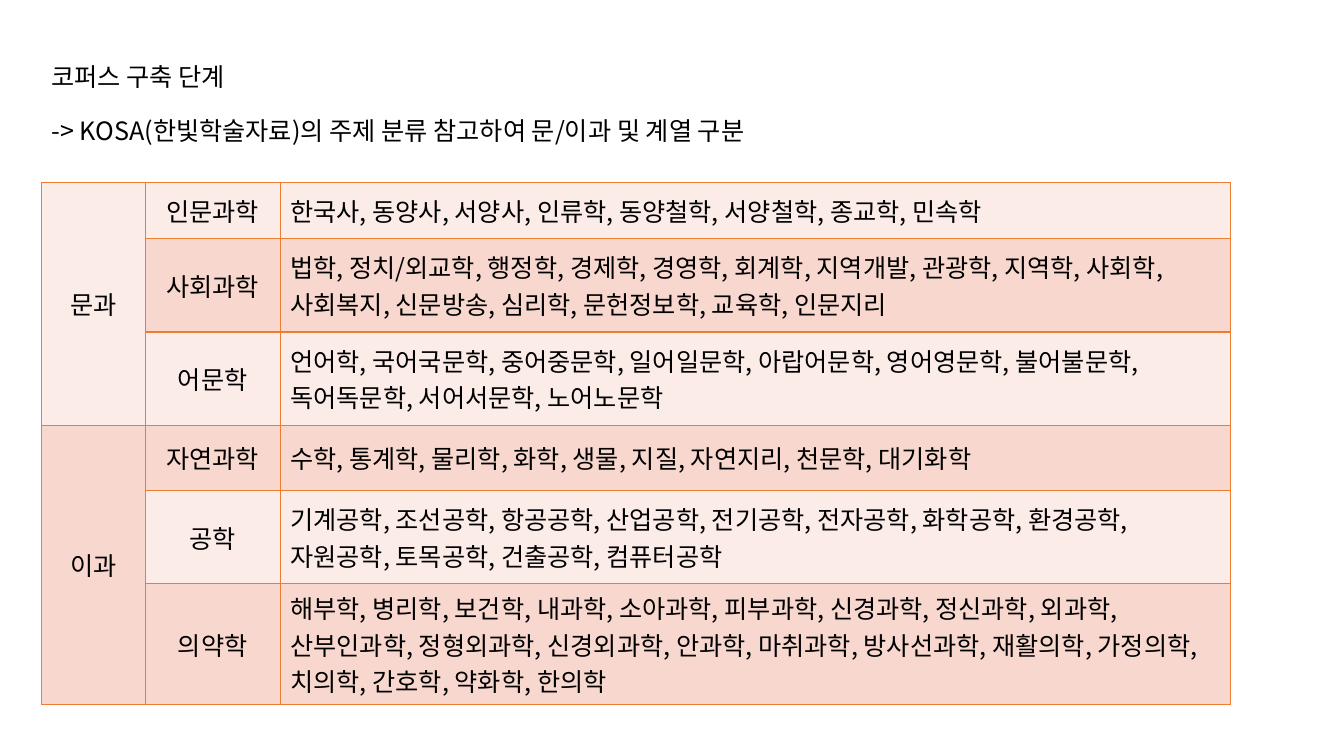
from dataclasses import dataclass

from lxml import etree
from pptx import Presentation
from pptx.dml.color import RGBColor
from pptx.enum.text import MSO_ANCHOR as Anchor, MSO_AUTO_SIZE as AutoSize, PP_ALIGN as Align
from pptx.oxml.ns import qn
from pptx.util import Pt

FONT = "Noto Sans CJK KR"
BLACK, ORANGE = "000000", "ED7D31"
BANDS = ("FCECE8", "F8D7CE")
LEFT = 29.5


@dataclass(frozen=True)
class Field:
    name: str
    subjects: str
    height: float


@dataclass(frozen=True)
class Track:
    name: str
    fields: tuple[Field, ...]


TRACKS = (
    Track("문과", (
        Field("인문과학", "한국사, 동양사, 서양사, 인류학, 동양철학, 서양철학, 종교학, 민속학", 40),
        Field("사회과학", "법학, 정치/외교학, 행정학, 경제학, 경영학, 회계학, 지역개발, 관광학, 지역학, "
              "사회학, 사회복지, 신문방송, 심리학, 문헌정보학, 교육학, 인문지리", 66.8),
        Field("어문학", "언어학, 국어국문학, 중어중문학, 일어일문학, 아랍어문학, 영어영문학, 불어불문학, "
              "독어독문학, 서어서문학, 노어노문학", 66.8),
    )),
    Track("이과", (
        Field("자연과학", "수학, 통계학, 물리학, 화학, 생물, 지질, 자연지리, 천문학, 대기화학", 46.4),
        Field("공학", "기계공학, 조선공학, 항공공학, 산업공학, 전기공학, 전자공학, 화학공학, "
              "환경공학, 자원공학, 토목공학, 건출공학, 컴퓨터공학", 66.8),
        Field("의약학", "해부학, 병리학, 보건학, 내과학, 소아과학, 피부과학, 신경과학, 정신과학, "
              "외과학, 산부인과학, 정형외과학, 신경외과학, 안과학, 마취과학, 방사선과학, "
              "재활의학, 가정의학, 치의학, 간호학, 약화학, 한의학", 86.2),
    )),
)
COLUMN_WIDTHS = (74.2, 96.5, 679)


def rgb(hex_color: str) -> RGBColor:
    return RGBColor.from_string(hex_color)


def write(paragraph, text: str, *, size: float = 18, color: str = BLACK,
          align: Align = Align.LEFT, before: float = 0) -> None:
    paragraph.alignment = align
    paragraph.line_spacing = 1.0
    paragraph.space_before = Pt(before)
    run = paragraph.add_run()
    run.text = text
    run.font.size = Pt(size)
    run.font.name = FONT
    run.font.color.rgb = rgb(color)
    latin = run.font._element.find(qn("a:latin"))
    east_asian = etree.Element(qn("a:ea"), typeface=FONT)
    latin.addnext(east_asian)


def style_cell(cell, band: str) -> None:
    """Outline the cell and fill it with its band colour."""
    properties = cell._tc.get_or_add_tcPr()
    for side in ("a:lnL", "a:lnR", "a:lnT", "a:lnB"):
        line = etree.SubElement(properties, qn(side), w=str(Pt(1)))
        stroke = etree.SubElement(line, qn("a:solidFill"))
        etree.SubElement(stroke, qn("a:srgbClr"), val=ORANGE)
    cell.fill.solid()
    cell.fill.fore_color.rgb = rgb(band)
    cell.vertical_anchor = Anchor.MIDDLE


def add_heading(slide) -> None:
    heading = slide.shapes.title
    heading.left, heading.top = Pt(LEFT), Pt(37.4)
    heading.width, heading.height = Pt(558), Pt(72.7)
    frame = heading.text_frame
    frame.word_wrap = True
    frame.auto_size = AutoSize.NONE
    frame.vertical_anchor = Anchor.MIDDLE
    write(frame.paragraphs[0], "코퍼스 구축 단계")
    write(frame.add_paragraph(),
          "-> KOSA(한빛학술자료)의 주제 분류 참고하여 문/이과 및 계열 구분", before=17)


def add_classification(slide) -> None:
    fields = [field for track in TRACKS for field in track.fields]
    table = slide.shapes.add_table(
        len(fields), len(COLUMN_WIDTHS), Pt(LEFT), Pt(130.3),
        Pt(sum(COLUMN_WIDTHS)), Pt(sum(field.height for field in fields))).table
    table.first_row = table.horz_banding = False
    for column, width in zip(table.columns, COLUMN_WIDTHS):
        column.width = Pt(width)

    # Fields and their subjects
    for index, field in enumerate(fields):
        table.rows[index].height = Pt(field.height)
        for cell in table.rows[index].cells:
            style_cell(cell, BANDS[index % 2])
        write(table.cell(index, 1).text_frame.paragraphs[0], field.name, align=Align.CENTER)
        subjects = table.cell(index, 2)
        subjects.margin_top = subjects.margin_bottom = Pt(1.4)
        write(subjects.text_frame.paragraphs[0], field.subjects)

    # Tracks spanning their fields
    first = 0
    for track in TRACKS:
        last = first + len(track.fields) - 1
        track_cell = table.cell(first, 0)
        track_cell.merge(table.cell(last, 0))
        write(track_cell.text_frame.paragraphs[0], track.name, align=Align.CENTER)
        first = last + 1


def main() -> None:
    deck = Presentation()
    deck.slide_width, deck.slide_height = Pt(960), Pt(540)
    slide = deck.slides.add_slide(deck.slide_layouts.get_by_name("Title Only"))
    add_heading(slide)
    add_classification(slide)
    deck.save("out.pptx")


if __name__ == "__main__":
    main()
